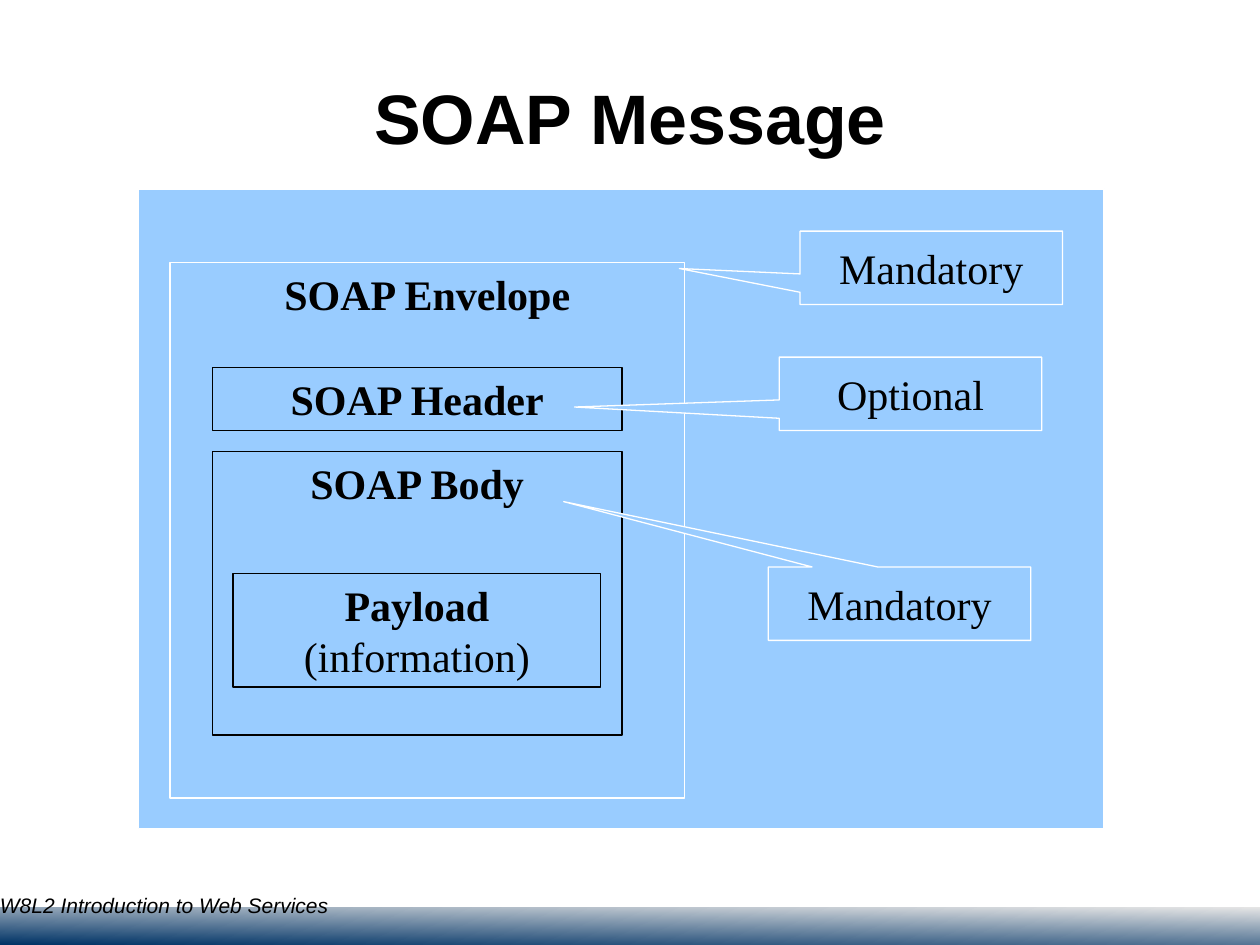
from dataclasses import dataclass

import pptx
import pptx.dml.color
import pptx.enum.shapes
import pptx.enum.text
import pptx.util

Cm = pptx.util.Cm
Pt = pptx.util.Pt
Shape = pptx.enum.shapes.MSO_SHAPE
Anchor = pptx.enum.text.MSO_ANCHOR
Align = pptx.enum.text.PP_ALIGN

BLACK, WHITE, SKY = "000000", "FFFFFF", "99CCFF"
LABEL = {"name": "Times New Roman", "size": Pt(24), "bold": False}
STRONG = {**LABEL, "bold": True}
TITLE = {"name": "Arial", "size": Pt(40), "bold": True}
FOOTER = {"name": "Arial", "size": Pt(12), "italic": True}


@dataclass
class Block:
    """A nested part of the message; places are in centimetres."""
    left: float
    top: float
    width: float
    height: float
    outline: str = BLACK
    lines: tuple = ()
    anchor: Anchor = Anchor.TOP


@dataclass
class Callout:
    """A remark whose pointer is given as shares of the box size from its centre."""
    left: float
    top: float
    text: str
    pointer: tuple


BLOCKS = [
    Block(2.79, 3.81, 19.47, 12.9, WHITE),
    Block(3.43, 5.29, 10.37, 10.8, WHITE, (("SOAP Envelope", STRONG),)),
    Block(4.28, 7.41, 8.26, 1.27, BLACK, (("SOAP Header", STRONG),), Anchor.MIDDLE),
    Block(4.28, 9.1, 8.26, 5.72, BLACK, (("SOAP Body", STRONG),)),
    Block(4.7, 11.56, 7.41, 2.29, BLACK,
          (("Payload", STRONG), ("(information)", LABEL)), Anchor.MIDDLE),
]
CALLOUT_SIZE = (5.29, 1.48)
CALLOUTS = [
    Callout(15.49, 11.43, "Mandatory", (-1.28, -1.39)),
    Callout(15.71, 7.2, "Optional", (-1.28, 0.18)),
    Callout(16.13, 4.66, "Mandatory", (-0.96, 0.01)),
]


def color(value: str) -> pptx.dml.color.RGBColor:
    return pptx.dml.color.RGBColor.from_string(value)


def write(box, lines: tuple, align: Align, anchor: Anchor) -> None:
    frame = box.text_frame
    frame.word_wrap = True
    frame.vertical_anchor = anchor
    for index, (text, style) in enumerate(lines):
        para = frame.add_paragraph() if index else frame.paragraphs[0]
        para.alignment = align
        span = para.add_run()
        span.text = text
        span.font.color.rgb = color(BLACK)
        for name, value in style.items():
            setattr(span.font, name, value)


def add_box(page, kind: Shape, place: tuple, outline: str):
    box = page.shapes.add_shape(kind, *map(Cm, place))
    box.shadow.inherit = False
    box.fill.solid()
    box.fill.fore_color.rgb = color(SKY)
    box.line.color.rgb = color(outline)
    box.line.width = Pt(0.75)
    return box


def draw_block(page, block: Block) -> None:
    place = (block.left, block.top, block.width, block.height)
    box = add_box(page, Shape.RECTANGLE, place, block.outline)
    write(box, block.lines, Align.CENTER, block.anchor)


def draw_callout(page, callout: Callout) -> None:
    place = (callout.left, callout.top, *CALLOUT_SIZE)
    box = add_box(page, Shape.RECTANGULAR_CALLOUT, place, WHITE)
    for index, share in enumerate(callout.pointer):
        box.adjustments[index] = share
    write(box, ((callout.text, LABEL),), Align.CENTER, Anchor.MIDDLE)


def draw_bottom_bar(page) -> None:
    bar = page.shapes.add_shape(Shape.RECTANGLE, *map(Cm, (0, 18.29, 25.4, 0.76)))
    bar.shadow.inherit = False
    bar.line.fill.background()
    bar.fill.gradient()
    bar.fill.gradient_angle = 269
    for stop, value in zip(bar.fill.gradient_stops, ("E6E6E6", "003366")):
        stop.color.rgb = color(value)


def draw_title(page) -> None:
    title = page.shapes.title
    title.left, title.top, title.width, title.height = map(Cm, (1.9, 0.76, 21.6, 3.18))
    write(title, (("SOAP Message", TITLE),), Align.CENTER, Anchor.MIDDLE)


def draw_footer(page) -> None:
    footer = page.shapes.add_textbox(*map(Cm, (0, 18.06, 12.04, 0.97)))
    write(footer, (("W8L2 Introduction to Web Services", FOOTER),), Align.LEFT, Anchor.TOP)
    frame = footer.text_frame
    for side in ("left", "top", "right", "bottom"):
        setattr(frame, f"margin_{side}", 0)
    frame.paragraphs[0].line_spacing = 0.87


def main() -> None:
    deck = pptx.Presentation()
    deck.slide_width, deck.slide_height = Cm(25.4), Cm(19.05)
    page = deck.slides.add_slide(deck.slide_layouts[5])
    draw_bottom_bar(page)
    draw_title(page)
    for block in BLOCKS:
        draw_block(page, block)
    for callout in CALLOUTS:
        draw_callout(page, callout)
    draw_footer(page)
    deck.save("out.pptx")


if __name__ == "__main__":
    main()
